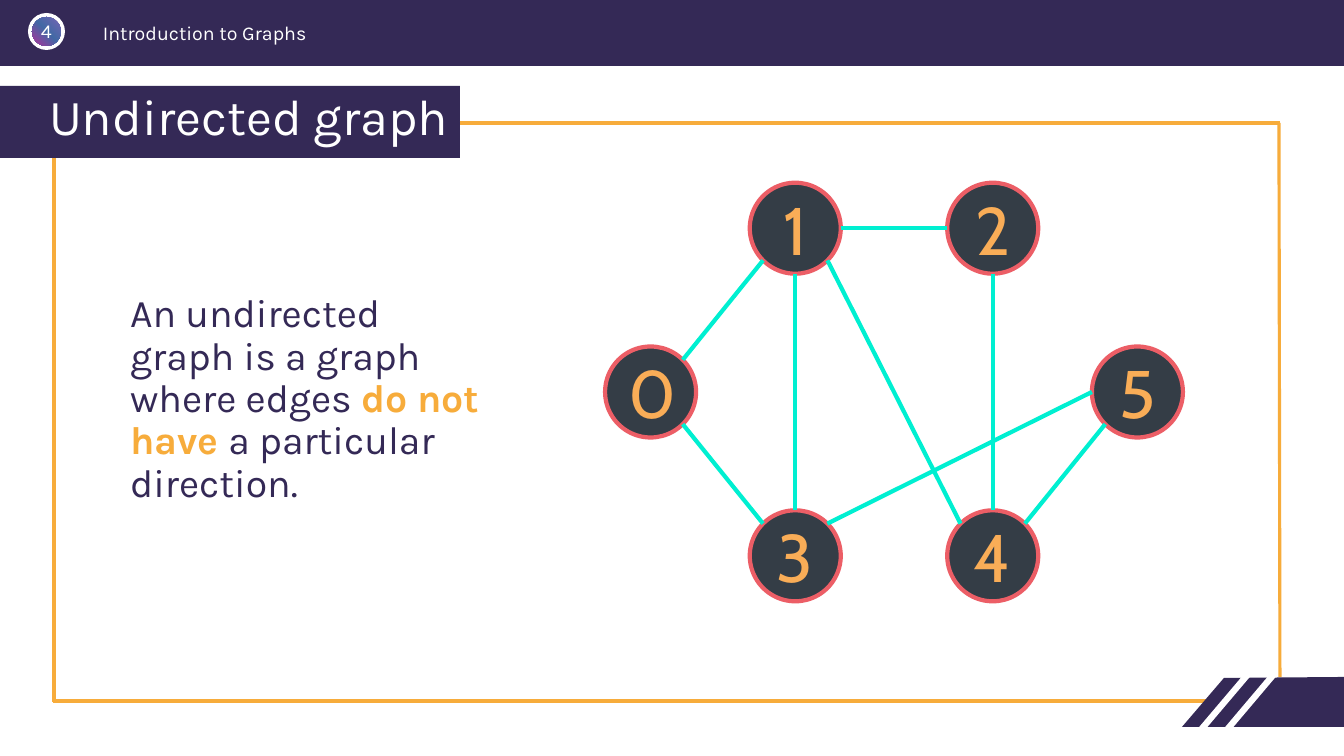
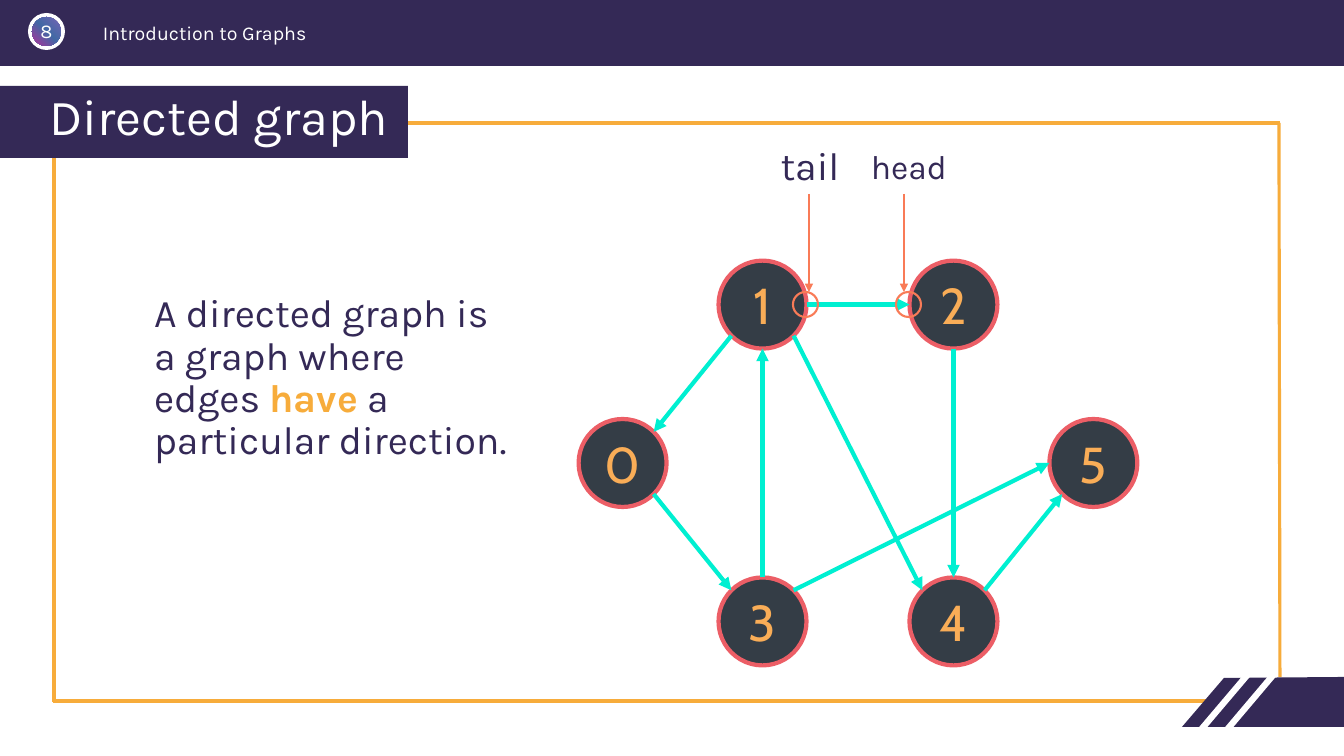
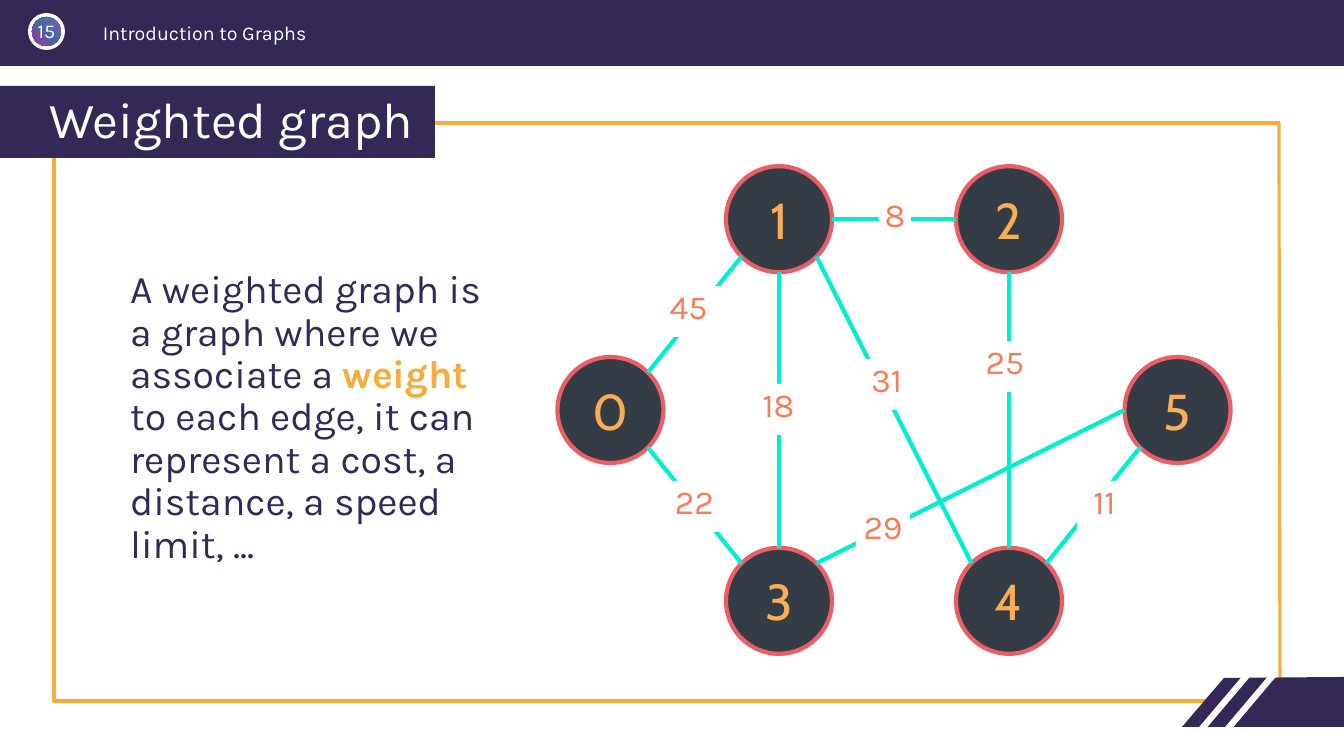
from copy import deepcopy
from math import cos, radians, sin

from lxml.etree import SubElement
from pptx import Presentation
from pptx.dml.color import RGBColor
from pptx.enum.shapes import MSO_CONNECTOR, MSO_SHAPE
from pptx.enum.text import MSO_ANCHOR, MSO_AUTO_SIZE, PP_ALIGN
from pptx.oxml.ns import qn
from pptx.util import Pt

EMU_PER_PX = 914400 / 100.8
WIDTH, HEIGHT = 1344, 756

PURPLE, ORANGE, WHITE = "342956", "F7AC3B", "FFFFFF"
NODE_FILL, NODE_RING, NODE_TEXT = "343D46", "EC5E66", "F9AD57"
EDGE, CORAL = "00EFD1", "F97B57"
BADGE_STOPS = [(0, "7864B5"), (0.49, "4269A5"), (1, "B2329A")]

NODE_PLACES = {
    "0": (-2.675, 0), "1": (-1.085, -1.8), "2": (1.085, -1.8),
    "5": (2.675, 0), "4": (1.085, 1.8), "3": (-1.085, 1.8),
}
RIGHT, LOWER_RIGHT, BOTTOM, LOWER_LEFT = 0, 45, 90, 135
LEFT, UPPER_LEFT, TOP, UPPER_RIGHT = 180, 225, 270, 315
EDGES = [
    ("1", LOWER_LEFT, "0", UPPER_RIGHT),
    ("3", TOP, "1", BOTTOM),
    ("0", LOWER_RIGHT, "3", UPPER_LEFT),
    ("1", RIGHT, "2", LEFT),
    ("1", LOWER_RIGHT, "4", UPPER_LEFT),
    ("2", BOTTOM, "4", TOP),
    ("4", UPPER_RIGHT, "5", LOWER_LEFT),
    ("3", UPPER_RIGHT, "5", LEFT),
]
WEIGHTS = [
    ("45", 655, 286, 67), ("18", 745, 384, 67), ("22", 661, 481, 67),
    ("31", 862, 359, 49), ("8", 879, 194, 32), ("25", 975, 341, 60),
    ("11", 1077, 481, 55), ("29", 856, 506, 54),
]


def px(length):
    return round(length * EMU_PER_PX)


def color(code):
    return RGBColor.from_string(code)


class Deck:
    def __init__(self):
        self.presentation = Presentation()
        self.presentation.slide_width = px(WIDTH)
        self.presentation.slide_height = px(HEIGHT)
        self.slide = None

    def place(self, shape, box):
        shape.left, shape.top, shape.width, shape.height = map(px, box)

    def style_font(self, font, size, code, name="Karla"):
        font.name, font.size = name, Pt(size)
        font.color.rgb = color(code)

    def paint(self, shape, fill=None, line=None, weight=1):
        shape.shadow.inherit = False
        if fill:
            shape.fill.solid()
            shape.fill.fore_color.rgb = color(fill)
        else:
            shape.fill.background()
        if line:
            shape.line.color.rgb = color(line)
            shape.line.width = Pt(weight)
        else:
            shape.line.fill.background()

    def shape(self, kind, box, fill=None, line=None, weight=1):
        shape = self.slide.shapes.add_shape(kind, *map(px, box))
        self.paint(shape, fill, line, weight)
        return shape

    def outline(self, points, fill):
        builder = self.slide.shapes.build_freeform(*points[0], scale=EMU_PER_PX)
        builder.add_line_segments(points[1:])
        self.paint(builder.convert_to_shape(), fill)

    def line(self, start, end, code, weight, arrow=False):
        connector = self.slide.shapes.add_connector(
            MSO_CONNECTOR.STRAIGHT, *map(px, (*start, *end)))
        connector.line.color.rgb = color(code)
        connector.line.width = Pt(weight)
        if arrow:
            SubElement(connector.get_or_add_ln(), qn("a:tailEnd"), type="triangle")
        SubElement(connector._element.spPr, qn("a:effectLst"))

    def set_text(self, shape, text, size, code, name="Karla",
                 align=PP_ALIGN.CENTER, anchor=MSO_ANCHOR.TOP, inset=None):
        frame = shape.text_frame
        frame.word_wrap = True
        frame.vertical_anchor = anchor
        if inset is not None:
            frame.margin_left = frame.margin_right = px(inset)
            frame.margin_top = frame.margin_bottom = px(inset)
        frame.text = text
        paragraph = frame.paragraphs[0]
        paragraph.alignment = align
        self.style_font(paragraph.font, size, code, name)

    def label(self, text, box, size, code, **options):
        label = self.slide.shapes.add_textbox(*map(px, box))
        self.set_text(label, text, size, code, **options)

    def start(self, number, title, title_width, lift=0):
        layout = self.presentation.slide_layouts[1]
        self.slide = self.presentation.slides.add_slide(layout)
        self.header(number)
        self.border(title_width)
        self.title(title, title_width, lift)

    def header(self, number):
        self.shape(MSO_SHAPE.RECTANGLE, (0, 0, WIDTH, 66), PURPLE)
        self.shape(MSO_SHAPE.OVAL, (28, 13, 37, 37), WHITE)
        badge = self.shape(MSO_SHAPE.OVAL, (32, 17, 29, 29), PURPLE)
        badge.fill.gradient()
        badge.fill.gradient_angle = 225
        stops = badge._element.spPr.find(".//" + qn("a:gsLst"))
        stops.append(deepcopy(stops[0]))
        for stop, (position, code) in zip(badge.fill.gradient_stops, BADGE_STOPS):
            stop.position = position
            stop.color.rgb = color(code)
        self.label("Introduction to Graphs", (93, 16, 566, 30), 14, WHITE,
                   align=PP_ALIGN.LEFT)
        self.label(str(number), (28, 19, 37, 24), 14, WHITE, inset=0)

    def border(self, title_width):
        for start, end in [((1280, 677), (1279, 123)), ((54, 702), (54, 158)),
                           ((53, 701), (1220, 701)), ((title_width, 123), (1280, 123))]:
            self.line(start, end, ORANGE, 2.25)
        self.outline([(1224, 678), (1344, 677), (1344, 727), (1182, 727)], PURPLE)
        for start, end in [((1194, 738), (1255, 666)), ((1220, 738), (1275, 673))]:
            self.line(start, end, WHITE, 4.5)

    def title(self, text, width, lift):
        title = self.slide.shapes.title
        self.place(title, (0, 86, width, 72))
        self.paint(title, PURPLE)
        self.set_text(title, text, 36, WHITE, align=PP_ALIGN.LEFT,
                      anchor=MSO_ANCHOR.MIDDLE, inset=0)
        frame = title.text_frame
        frame.auto_size = MSO_AUTO_SIZE.NONE
        frame.margin_left, frame.margin_bottom = px(49), px(2 * lift)
        frame.paragraphs[0].line_spacing = 0.9

    def definition(self, before, emphasis, after, box):
        body = self.slide.placeholders[1]
        self.place(body, box)
        frame = body.text_frame
        frame.word_wrap = True
        frame.auto_size = MSO_AUTO_SIZE.NONE
        paragraph = frame.paragraphs[0]
        properties = paragraph._p.get_or_add_pPr()
        properties.set("marL", "0")
        properties.set("indent", "0")
        SubElement(properties, qn("a:buNone"))
        paragraph.line_spacing = 0.9
        paragraph.space_before = Pt(0)
        self.style_font(paragraph.font, 28, PURPLE)
        for text in (before, emphasis, after):
            run = paragraph.add_run()
            run.text = text
            if text == emphasis:
                run.font.bold = True
                run.font.color.rgb = color(ORANGE)

    def graph(self, center_x, center_y, diameter, size, directed=False):
        radius = diameter / 2
        centers = {name: (center_x + across * diameter, center_y + down * diameter)
                   for name, (across, down) in NODE_PLACES.items()}

        def rim(name, angle):
            x, y = centers[name]
            return (x + radius * cos(radians(angle)), y + radius * sin(radians(angle)))

        for name, (x, y) in centers.items():
            node = self.shape(MSO_SHAPE.OVAL, (x - radius, y - radius, diameter, diameter),
                              NODE_FILL, NODE_RING, 3)
            self.set_text(node, name, size, NODE_TEXT, "Cabin", anchor=MSO_ANCHOR.MIDDLE)
        for source, leaving, target, entering in EDGES:
            self.line(rim(source, leaving), rim(target, entering), EDGE, 3, directed)

    def edge_end(self, text, box, size, arrow_x, ring_x):
        self.shape(MSO_SHAPE.OVAL, (ring_x, 292, 25, 25), line=CORAL, weight=1.5)
        self.line((arrow_x, 194), (arrow_x, 292), CORAL, 1.5, arrow=True)
        self.label(text, box, size, PURPLE)

    def weight(self, text, left, top, width):
        patch = self.shape(MSO_SHAPE.RECTANGLE, (left, top, width, 51), WHITE)
        self.set_text(patch, text, 24, CORAL, inset=0)


def main():
    deck = Deck()

    deck.start(4, "Undirected graph", 460, lift=3)
    deck.definition("An undirected graph is a graph where edges ", "do not have ",
                    "a particular direction.", (120, 289, 382, 178))
    deck.graph(894, 392, 91, 48)

    deck.start(8, "Directed graph", 408, lift=3)
    deck.definition("A directed graph is a graph where edges ", "have",
                    " a particular direction.", (144, 289, 382, 178))
    deck.graph(858, 463, 88, 36, directed=True)
    deck.edge_end("tail", (754, 136, 112, 57), 28, 809, 793)
    deck.edge_end("head", (844, 141, 130, 50), 24, 904, 896)

    deck.start(15, "Weighted graph", 435)
    deck.definition("A weighted graph is a graph where we associate a ", "weight",
                    " to each edge, it can represent a cost, a distance, a speed limit, ...",
                    (120, 265, 382, 312))
    deck.graph(894, 410, 106, 36)
    for weight in WEIGHTS:
        deck.weight(*weight)

    deck.presentation.save("out.pptx")


if __name__ == "__main__":
    main()
